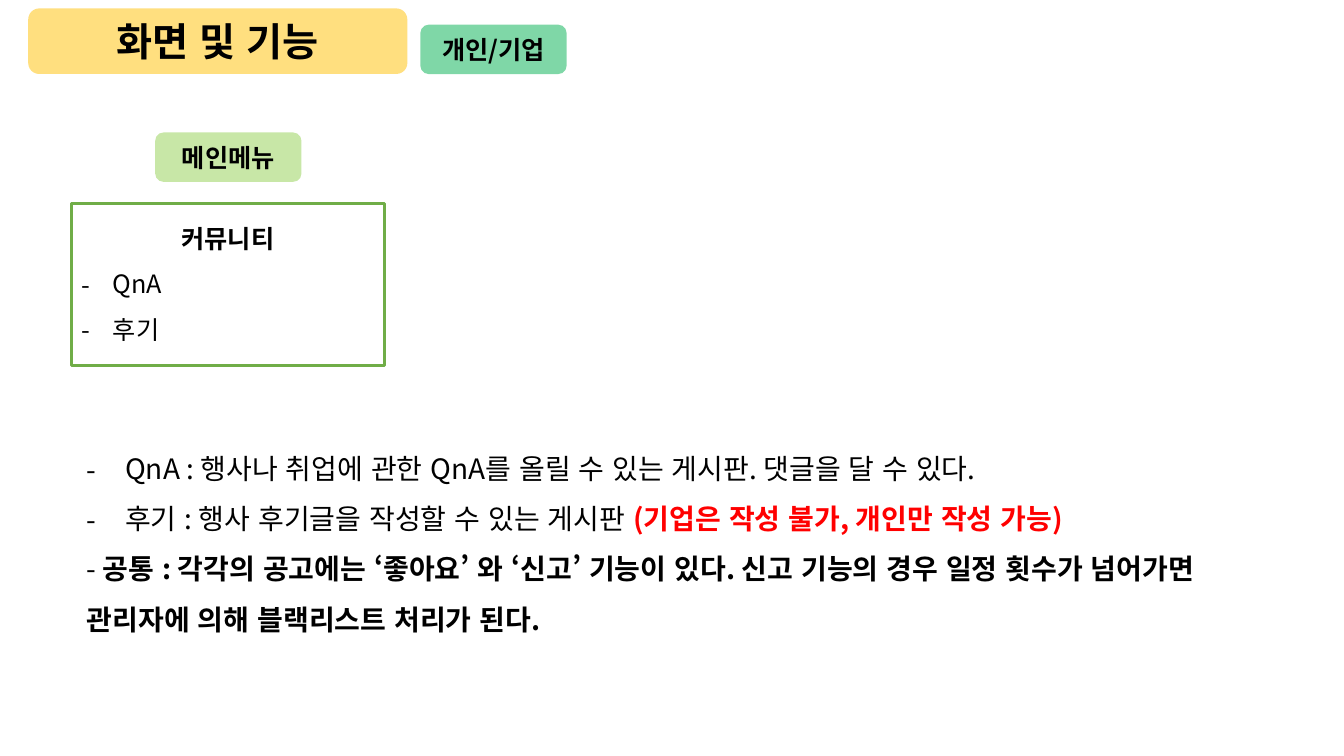
"""Build the community menu slide with its badges, menu card and description."""
from dataclasses import dataclass

import lxml.etree
import pptx
import pptx.dml.color
import pptx.enum.lang
import pptx.enum.shapes
import pptx.enum.text
import pptx.oxml.ns
import pptx.util

RGBColor = pptx.dml.color.RGBColor
MSO_SHAPE = pptx.enum.shapes.MSO_SHAPE
PP_ALIGN = pptx.enum.text.PP_ALIGN
MSO_ANCHOR = pptx.enum.text.MSO_ANCHOR
qn = pptx.oxml.ns.qn

SLIDE_WIDTH = pptx.util.Inches(13.33)
SLIDE_HEIGHT = pptx.util.Inches(7.5)
BLACK = RGBColor(0x00, 0x00, 0x00)
RED = RGBColor(0xFF, 0x00, 0x00)
AMBER = RGBColor(0xFF, 0xC0, 0x00)
EMERALD = RGBColor(0x00, 0xB0, 0x50)
LIME = RGBColor(0x92, 0xD0, 0x50)
CARD_GREEN = RGBColor(0x70, 0xAD, 0x47)
KOREAN_FONT = "Noto Sans CJK KR"
BADGE_OPACITY = 50
BADGE_WIDTH, BADGE_HEIGHT = 10.88, 6.53


@dataclass(frozen=True)
class Area:
    """A rectangle in percent of the slide's width and height."""

    left: float
    top: float
    width: float
    height: float

    def lengths(self) -> tuple[int, int, int, int]:
        """Return left, top, width and height as slide lengths."""
        return (
            round(SLIDE_WIDTH * self.left / 100),
            round(SLIDE_HEIGHT * self.top / 100),
            round(SLIDE_WIDTH * self.width / 100),
            round(SLIDE_HEIGHT * self.height / 100),
        )


@dataclass(frozen=True)
class Words:
    """A run of text in one style."""

    text: str
    bold: bool = False
    color: RGBColor = BLACK


@dataclass(frozen=True)
class Line:
    """A paragraph with an optional dash bullet hung by an indent in inches."""

    words: tuple[Words, ...]
    indent: float = 0
    alignment: PP_ALIGN = PP_ALIGN.LEFT


@dataclass(frozen=True)
class Badge:
    """A translucent rounded label."""

    area: Area
    text: str
    color: RGBColor
    size: int = 18
    font: str = KOREAN_FONT


BADGES = (
    Badge(Area(11.55, 17.53, BADGE_WIDTH, BADGE_HEIGHT), "메인메뉴", LIME, font="Arial"),
    Badge(Area(31.28, 3.27, BADGE_WIDTH, BADGE_HEIGHT), "개인/기업", EMERALD),
    Badge(Area(2.1, 1.12, 28.21, 8.67), "화면 및 기능", AMBER, size=28),
)

MENU_AREA = Area(5.33, 26.87, 23.26, 21.47)
MENU_LINES = (
    Line((Words("커뮤니티", bold=True),), alignment=PP_ALIGN.CENTER),
    Line((Words("QnA"),), indent=0.31),
    Line((Words("후기"),), indent=0.31),
)

DESCRIPTION_AREA = Area(5.73, 56.8, 86.65, 27.47)
DESCRIPTION_LINES = (
    Line(
        (Words("QnA : 행사나 취업에 관한 QnA를 올릴 수 있는 게시판. 댓글을 달 수 있다."),),
        indent=0.38,
    ),
    Line(
        (
            Words("후기 : 행사 후기글을 작성할 수 있는 게시판 "),
            Words("(기업은 작성 불가, 개인만 작성 가능)", bold=True, color=RED),
        ),
        indent=0.38,
    ),
    Line(
        (
            Words("- "),
            Words(
                "공통 : 각각의 공고에는 ‘좋아요’ 와 ‘신고’ 기능이 있다. "
                "신고 기능의 경우 일정 횟수가 넘어가면 관리자에 의해 블랙리스트 처리가 된다.",
                bold=True,
            ),
        )
    ),
)


def add_words(paragraph, words: Words, size: int, font: str = KOREAN_FONT) -> None:
    """Append one styled run to the paragraph."""
    run = paragraph.add_run()
    run.text = words.text
    run.font.name = font
    run.font.size = pptx.util.Pt(size)
    run.font.bold = words.bold
    run.font.color.rgb = words.color
    run.font.language_id = pptx.enum.lang.MSO_LANGUAGE_ID.KOREAN
    east_asian = lxml.etree.Element(qn("a:ea"), typeface=KOREAN_FONT)
    run.font._element.find(qn("a:latin")).addnext(east_asian)


def write_lines(text_frame, lines: tuple[Line, ...], size: int) -> None:
    """Fill the frame with spaced paragraphs and their dash bullets."""
    text_frame.word_wrap = True
    text_frame.vertical_anchor = MSO_ANCHOR.TOP
    for index, line in enumerate(lines):
        paragraph = text_frame.add_paragraph() if index else text_frame.paragraphs[0]
        paragraph.alignment = line.alignment
        paragraph.line_spacing = 1.5
        if line.indent:
            properties = paragraph._p.get_or_add_pPr()
            indent = pptx.util.Inches(line.indent)
            properties.set("marL", str(indent))
            properties.set("indent", str(-indent))
            lxml.etree.SubElement(properties, qn("a:buFont"), typeface=KOREAN_FONT)
            lxml.etree.SubElement(properties, qn("a:buChar"), char="-")
        for words in line.words:
            add_words(paragraph, words, size)


def add_badge(slide, badge: Badge) -> None:
    """Draw a rounded label with centred bold text."""
    shape = slide.shapes.add_shape(MSO_SHAPE.ROUNDED_RECTANGLE, *badge.area.lengths())
    shape.shadow.inherit = False
    shape.fill.solid()
    shape.fill.fore_color.rgb = badge.color
    color = shape._element.spPr.find(qn("a:solidFill"))[0]
    lxml.etree.SubElement(color, qn("a:alpha"), val=str(BADGE_OPACITY * 1000))
    shape.line.fill.background()
    shape.text_frame.word_wrap = True
    shape.text_frame.vertical_anchor = MSO_ANCHOR.MIDDLE
    paragraph = shape.text_frame.paragraphs[0]
    paragraph.alignment = PP_ALIGN.CENTER
    add_words(paragraph, Words(badge.text, bold=True), badge.size, badge.font)


def add_menu_card(slide) -> None:
    """Draw the outlined menu card."""
    shape = slide.shapes.add_shape(MSO_SHAPE.RECTANGLE, *MENU_AREA.lengths())
    shape.shadow.inherit = False
    shape.fill.background()
    shape.line.color.rgb = CARD_GREEN
    shape.line.width = pptx.util.Pt(2.25)
    write_lines(shape.text_frame, MENU_LINES, 18)


def add_description(slide) -> None:
    """Write the description of the boards."""
    shape = slide.shapes.add_textbox(*DESCRIPTION_AREA.lengths())
    write_lines(shape.text_frame, DESCRIPTION_LINES, 20)
    shape.text_frame.auto_size = pptx.enum.text.MSO_AUTO_SIZE.SHAPE_TO_FIT_TEXT


def main() -> None:
    """Build and save the presentation."""
    presentation = pptx.Presentation()
    presentation.slide_width = SLIDE_WIDTH
    presentation.slide_height = SLIDE_HEIGHT
    slide = presentation.slides.add_slide(presentation.slide_layouts[6])
    add_menu_card(slide)
    add_description(slide)
    for badge in BADGES:
        add_badge(slide, badge)
    presentation.save("out.pptx")


if __name__ == "__main__":
    main()
